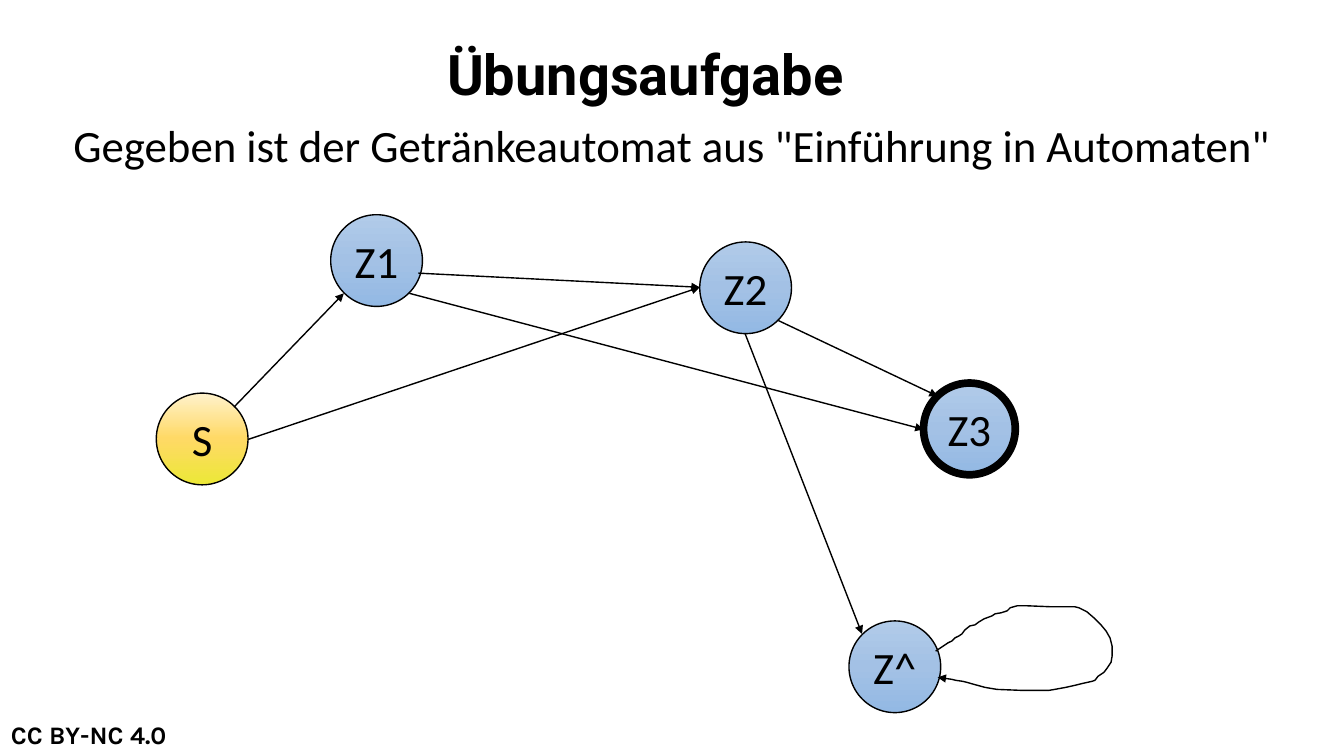
from copy import deepcopy

from lxml.etree import SubElement
from pptx import Presentation
from pptx.dml.color import RGBColor
from pptx.enum.shapes import MSO_CONNECTOR, MSO_SHAPE
from pptx.enum.text import MSO_ANCHOR, PP_ALIGN
from pptx.oxml.ns import qn
from pptx.util import Emu, Pt

EMU_PER_PX = 9144
DIAMETER = 91
BLACK = "000000"
BLUE = [(0, "B1CBE9"), (0.5, "A3C1E5"), (1, "93B9E4")]
YELLOW = [(0, "FFF2CC"), (0.49, "FFD966"), (1, "ECE837")]


def px(length):
    return Emu(length * EMU_PER_PX)


def colour(code):
    return RGBColor.from_string(code)


class AutomatonSlide:
    body_font = "Calibri"
    body_size = 32
    line_width = 1

    def __init__(self, deck):
        self.shapes = deck.slides.add_slide(deck.slide_layouts[6]).shapes

    def label(self, frame, wording, font=None, size=None, bold=False, align=PP_ALIGN.CENTER):
        paragraph = frame.paragraphs[0]
        paragraph.text = wording
        paragraph.alignment = align
        paragraph.font.name = font or self.body_font
        paragraph.font.size = Pt(size or self.body_size)
        paragraph.font.bold = bold
        paragraph.font.color.rgb = colour(BLACK)
        return paragraph

    def text(self, box, wording, anchor=MSO_ANCHOR.TOP, **style):
        frame = self.shapes.add_textbox(*map(px, box)).text_frame
        frame.word_wrap = True
        frame.vertical_anchor = anchor
        return self.label(frame, wording, **style)

    def outline(self, line, width=None):
        line.color.rgb = colour(BLACK)
        line.width = Pt(width or self.line_width)

    def arrowhead(self, line_shape):
        properties = line_shape._element.spPr
        SubElement(properties.find(qn("a:ln")), qn("a:tailEnd"), type="triangle")

    def state(self, name, left, top, gradient=BLUE, border=None):
        circle = self.shapes.add_shape(
            MSO_SHAPE.OVAL, px(left), px(top), px(DIAMETER), px(DIAMETER))
        circle.shadow.inherit = False
        circle.fill.gradient()
        circle.fill.gradient_angle = 270
        stop_list = circle._element.spPr.find(".//" + qn("a:gsLst"))
        stop_list.append(deepcopy(stop_list[0]))
        for stop, (position, code) in zip(circle.fill.gradient_stops, gradient):
            stop.position = position
            stop.color.rgb = colour(code)
        self.outline(circle.line, border)
        frame = circle.text_frame
        frame.word_wrap = False
        frame.vertical_anchor = MSO_ANCHOR.MIDDLE
        self.label(frame, name)

    def transition(self, start, end):
        arrow = self.shapes.add_connector(
            MSO_CONNECTOR.STRAIGHT, *map(px, start + end))
        self.outline(arrow.line)
        self.arrowhead(arrow)
        SubElement(arrow._element.spPr, qn("a:effectLst"))

    def loop(self, points):
        builder = self.shapes.build_freeform(*points[0], scale=EMU_PER_PX)
        builder.add_line_segments(points[1:], close=False)
        curve = builder.convert_to_shape()
        curve.shadow.inherit = False
        curve.fill.background()
        self.outline(curve.line)
        self.arrowhead(curve)


def main():
    deck = Presentation()
    deck.slide_width, deck.slide_height = px(1333), px(750)
    slide = AutomatonSlide(deck)

    slide.state("S", 155, 390, YELLOW)
    slide.state("Z1", 328, 213)
    slide.state("Z2", 694, 240)
    slide.state("Z3", 916, 380, border=5.5)
    slide.state("Z^", 842, 616)

    for start, end in [
        ((232, 404), (341, 291)),
        ((246, 436), (694, 285)),
        ((415, 271), (694, 285)),
        ((406, 291), (916, 426)),
        ((772, 318), (930, 393)),
        ((739, 331), (855, 629)),
    ]:
        slide.transition(start, end)

    slide.loop([
        (928, 646), (934, 642), (940, 638), (944, 636), (947, 633), (951, 631),
        (954, 629), (957, 625), (962, 621), (967, 620), (971, 617), (976, 614),
        (984, 611), (987, 609), (993, 608), (999, 606), (1002, 603), (1009, 601),
        (1018, 601), (1042, 602), (1066, 602), (1070, 603), (1078, 607),
        (1085, 613), (1092, 620), (1097, 626), (1101, 633), (1103, 641),
        (1103, 651), (1102, 657), (1098, 663), (1095, 667), (1089, 671),
        (1086, 675), (1083, 676), (1074, 678), (1066, 680), (1057, 682),
        (1046, 684), (1040, 685), (1015, 685), (989, 684), (977, 682),
        (966, 679), (959, 677), (955, 676), (948, 675), (944, 674), (930, 672),
    ])

    title = slide.text((406, 4, 468, 145), "Übungsaufgabe", MSO_ANCHOR.MIDDLE,
                       font="Roboto", size=40, bold=True)
    title.line_spacing = 0.9
    slide.text((63, 112, 1244, 64),
               'Gegeben ist der Getränkeautomat aus "Einführung in Automaten"',
               align=PP_ALIGN.LEFT)
    slide.text((-2, 709, 180, 40), "CC BY-NC 4.0", font="Karla", size=18, bold=True)

    deck.save("out.pptx")


if __name__ == "__main__":
    main()
